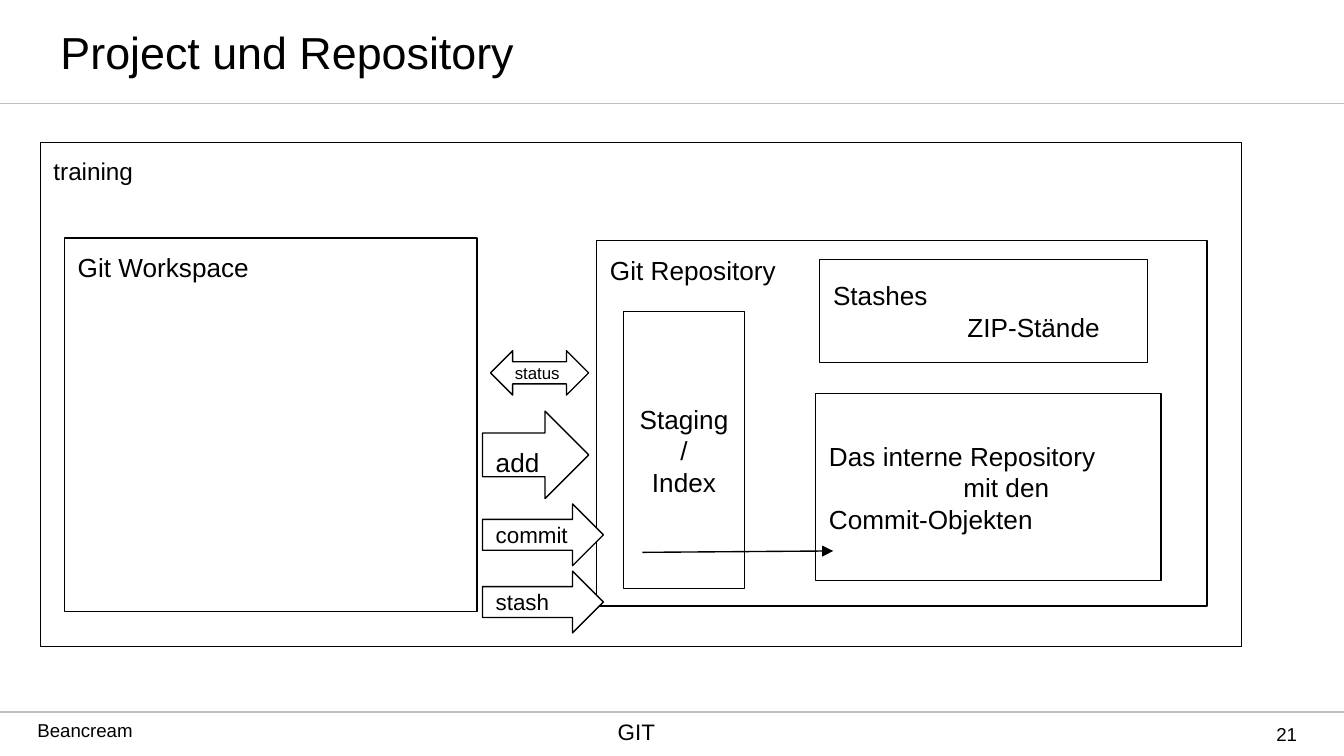
from pptx import Presentation
from pptx.dml.color import RGBColor
from pptx.enum.shapes import MSO_CONNECTOR, MSO_SHAPE
from pptx.enum.text import MSO_ANCHOR, PP_ALIGN
from pptx.oxml.ns import qn
from pptx.util import Inches, Pt
from lxml.etree import SubElement

FONT = "Arial"
BLACK, WHITE, GREY = "000000", "FFFFFF", "BFBFBF"
SLIDE_WIDTH = 10
SLIDE_HEIGHT = SLIDE_WIDTH * 9 / 16
HEADER_HEIGHT, FOOTER_TOP = 0.77, 5.3
TOP, MIDDLE = MSO_ANCHOR.TOP, MSO_ANCHOR.MIDDLE
LEFT, CENTER, RIGHT = PP_ALIGN.LEFT, PP_ALIGN.CENTER, PP_ALIGN.RIGHT


def color(hex_value):
    return RGBColor.from_string(hex_value)


def add_tab_stop(paragraph, position):
    tabs = SubElement(paragraph._p.get_or_add_pPr(), qn("a:tabLst"))
    SubElement(tabs, qn("a:tab"), pos=str(Inches(position)), algn="l")


def write(shape, text, size, anchor=TOP, align=LEFT, insets=(0.1, 0.1)):
    frame = shape.text_frame
    frame.text = text
    frame.word_wrap = True
    frame.vertical_anchor = anchor
    frame.margin_left = frame.margin_right = Inches(insets[0])
    frame.margin_top = frame.margin_bottom = Inches(insets[1])
    for paragraph in frame.paragraphs:
        paragraph.alignment = align
        if "\t" in paragraph.text:
            add_tab_stop(paragraph, 1)
        for run in paragraph.runs:
            run.font.name = FONT
            run.font.size = Pt(size)
            run.font.color.rgb = color(BLACK)


def add_block(slide, kind, box, text, size=14, anchor=MIDDLE, align=LEFT):
    shape = slide.shapes.add_shape(kind, *map(Inches, box))
    shape.shadow.inherit = False
    shape.fill.solid()
    shape.fill.fore_color.rgb = color(WHITE)
    shape.line.color.rgb = color(BLACK)
    shape.line.width = Pt(0.75)
    write(shape, text, size, anchor, align)


def add_line(slide, start, end, line_color, width, arrow=False):
    line = slide.shapes.add_connector(MSO_CONNECTOR.STRAIGHT, *map(Inches, (*start, *end)))
    line.line.color.rgb = color(line_color)
    line.line.width = Pt(width)
    properties = line._element.spPr
    if arrow:
        SubElement(properties.find(qn("a:ln")), qn("a:tailEnd"), type="triangle")
    SubElement(properties, qn("a:effectLst"))


def add_header(slide, height):
    add_line(slide, (0, height), (SLIDE_WIDTH, height), GREY, 1)
    title = slide.shapes.title
    title.left, title.top = Inches(0.35), Inches(0)
    title.width, title.height = Inches(6.22), Inches(height)
    write(title, "Project und Repository", 24, MIDDLE, insets=(0.1, 0.05))


def add_footer(slide, top):
    add_line(slide, (0, top), (SLIDE_WIDTH, top), GREY, 1)
    for box, text, size, anchor, align, inset in (
        ((0.18, top + 0.05, 1.95, 0.22), "Beancream", 10, TOP, LEFT, 0.1),
        ((3.17, top + 0.04, 3.13, 0.33), "GIT", 12, TOP, CENTER, 0.1),
        ((8.75, top, 0.9, 0.33), "21", 10, MIDDLE, RIGHT, 0),
    ):
        label = slide.shapes.add_textbox(*map(Inches, box))
        write(label, text, size, anchor, align, (inset, 0))


def add_repository(slide, box):
    left, top = box[:2]
    rectangle = MSO_SHAPE.RECTANGLE
    add_block(slide, rectangle, box, "Git Repository", anchor=TOP)
    add_block(slide, rectangle, (left + 0.2, top + 0.53, 0.9, 2.06),
              "Staging\n/\nIndex", align=CENTER)
    add_block(slide, rectangle, (left + 1.63, top + 1.14, 2.57, 1.39),
              "Das interne Repository\n\tmit den Commit-Objekten")
    add_block(slide, rectangle, (left + 1.66, top + 0.14, 2.44, 0.77),
              "Stashes\n\tZIP-Stände")
    add_line(slide, (left + 0.34, top + 2.32), (left + 1.76, top + 2.31), BLACK, 0.75, arrow=True)


def add_commands(slide, left, top):
    add_block(slide, MSO_SHAPE.LEFT_RIGHT_ARROW, (left + 0.06, top, 0.73, 0.33), "status", 9)
    add_block(slide, MSO_SHAPE.RIGHT_ARROW, (left, top + 0.45, 0.79, 0.65), "add", anchor=TOP)
    for index, command in enumerate(("commit", "stash")):
        add_block(slide, MSO_SHAPE.RIGHT_ARROW,
                  (left, top + 1.14 + index * 0.5, 0.9, 0.46), command, 12)


def add_project(slide, box):
    left, top = box[:2]
    add_block(slide, MSO_SHAPE.RECTANGLE, box, "training", 13, TOP)
    add_block(slide, MSO_SHAPE.RECTANGLE, (left + 0.18, top + 0.71, 3.07, 2.78),
              "Git Workspace", anchor=TOP)
    add_repository(slide, (left + 4.14, top + 0.73, 4.54, 2.72))
    add_commands(slide, left + 3.29, top + 1.55)


def main():
    presentation = Presentation()
    presentation.slide_width = Inches(SLIDE_WIDTH)
    presentation.slide_height = Inches(SLIDE_HEIGHT)
    slide = presentation.slides.add_slide(presentation.slide_layouts[5])
    add_header(slide, HEADER_HEIGHT)
    add_footer(slide, FOOTER_TOP)
    add_project(slide, (0.3, 1.06, 8.94, 3.75))
    presentation.save("out.pptx")


if __name__ == "__main__":
    main()
